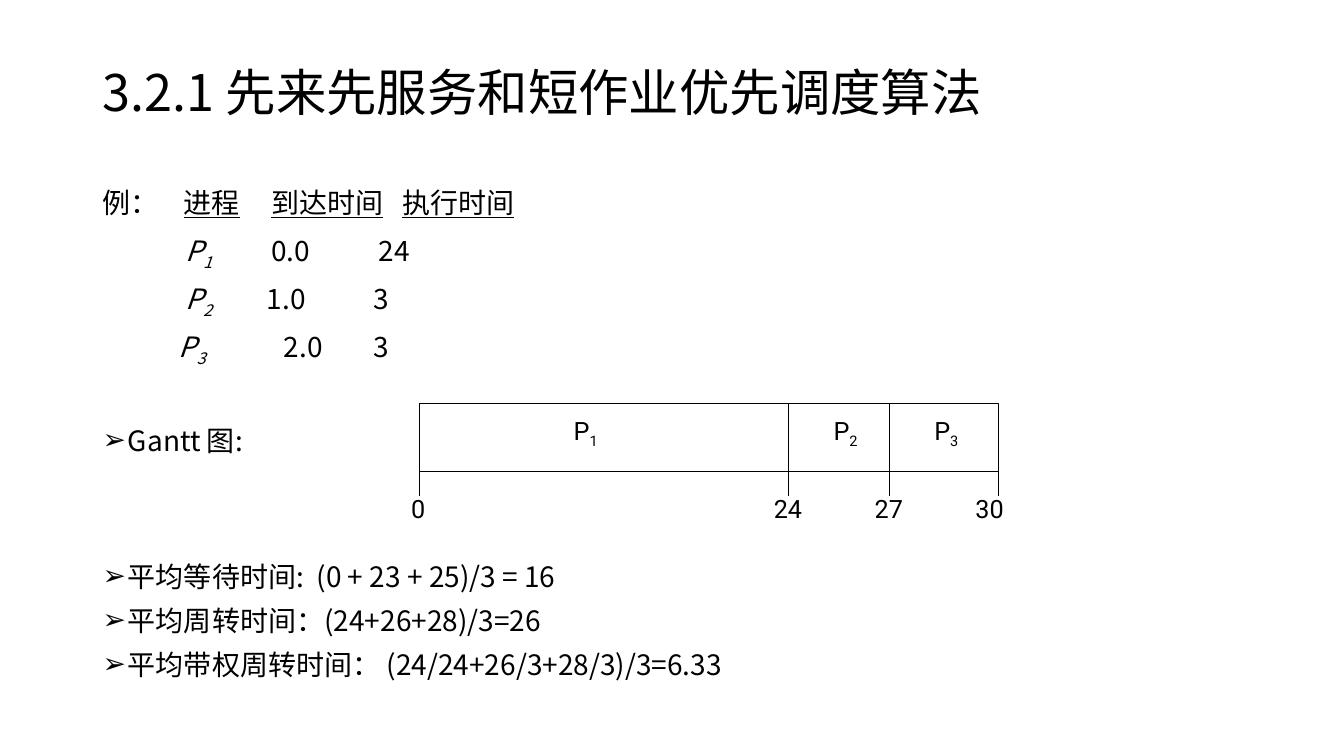
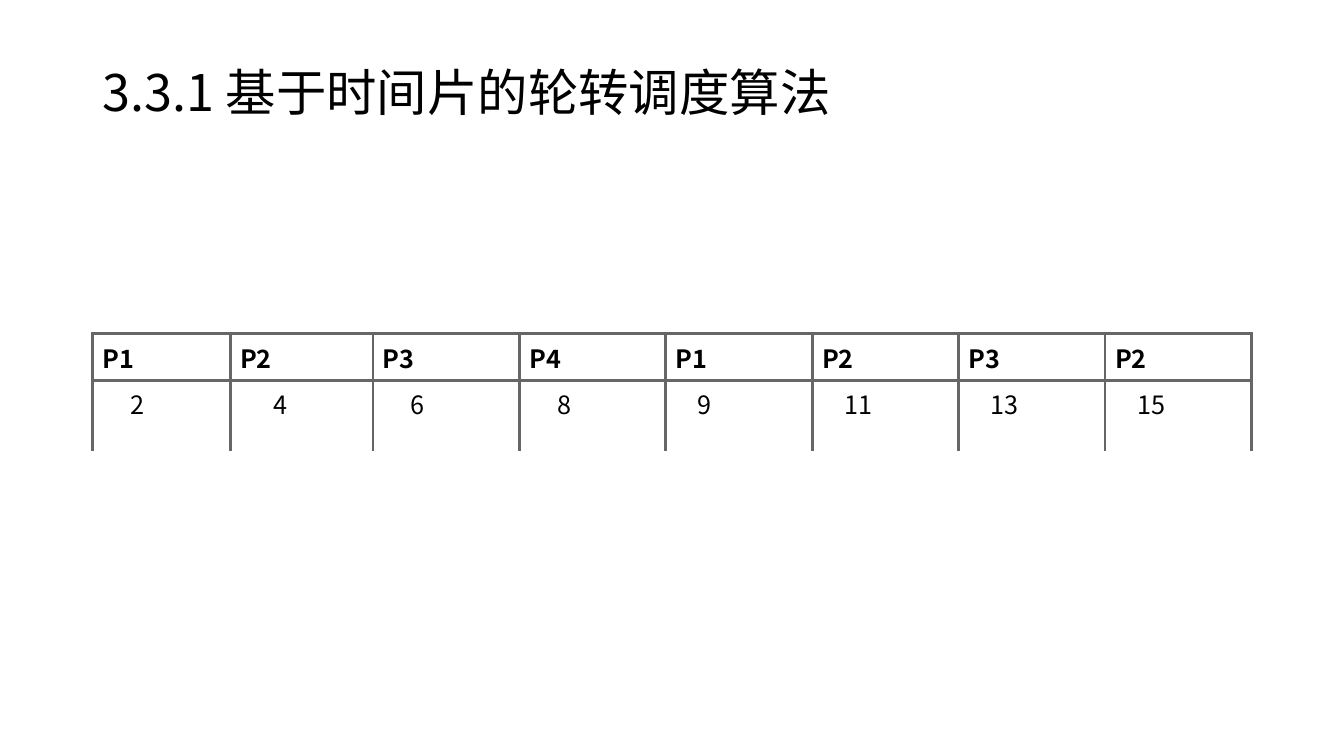
from lxml.etree import SubElement
from pptx import Presentation
from pptx.dml.color import RGBColor
from pptx.enum.shapes import MSO_CONNECTOR, MSO_SHAPE
from pptx.enum.text import MSO_ANCHOR, MSO_AUTO_SIZE, PP_ALIGN
from pptx.oxml import parse_xml
from pptx.oxml.ns import nsdecls, qn
from pptx.util import Cm, Pt

BLACK = RGBColor(0x00, 0x00, 0x00)
GREY = RGBColor(0x66, 0x66, 0x66)
SANS = "Noto Sans CJK SC"
LATIN = "Roboto"
LEFT, WIDTH = 2.33, 29.21
SPACE = 4.48

HEAD = [("例：", ""), 17.9, ("进程", "u"), 22.4, ("到达时间", "u"),
        13.4, ("执行时间", "u")]
JOBS = [
    ("1", "0.0", "24", 2.09, 42, 49, 13),
    ("2", "1.0", "3", 2.09, 39, 48, 12.6),
    ("3", "2.0", "3", 1.92, 56, 36, 12.6),
]
POINTS = [
    ([("Gantt 图:", "")], 47.2),
    ([("平均等待时间:", ""), 9, ("(0 + 23 + 25)/3 = 16", "")], 77.8),
    ([("平均周转时间：(24+26+28)/3=26", "")], 12.2),
    ([("平均带权周转时间： (24/24+26/3+28/3)/3=6.33", "")], 12.2),
]
TICKS = [("0", 10.57, 10.54), ("24", 19.88, 19.86),
         ("27", 22.42, 22.4), ("30", 25.17, 24.94)]
PARTS = [("1", 14.76), ("2", 21.31), ("3", 23.85)]
TURNS = [("P1", "2", 5), ("P2", "4", 6), ("P3", "6", 5), ("P4", "8", 5),
         ("P1", "9", 4), ("P2", "11", 4), ("P3", "13", 4), ("P2", "15", 4)]


def add_run(para, text, size, face=SANS, marks=""):
    """Add a run; marks are b bold, i italic, u underlined, s subscript."""
    run = para.add_run()
    run.text = text
    font = run.font
    font.size, font.name = Pt(size), face
    font.color.rgb = BLACK
    font.bold, font.italic, font.underline = (m in marks for m in "biu")
    props = run._r.get_or_add_rPr()
    SubElement(props, qn("a:ea")).set("typeface", face)
    if "s" in marks:
        props.set("baseline", "-25000")
    return props


def add_items(para, items):
    """Write runs, with a number standing for a gap of that many points."""
    for item in items:
        if isinstance(item, tuple):
            add_run(para, item[0], 20, marks=item[1])
        else:
            props = add_run(para, " ", 20)
            props.set("spc", str(round((item - SPACE) * 100)))


def place(shape, top, height):
    """Put a placeholder on the shared column and return its text frame."""
    shape.left, shape.top = Cm(LEFT), Cm(top)
    shape.width, shape.height = Cm(WIDTH), Cm(height)
    frame = shape.text_frame
    frame.auto_size = MSO_AUTO_SIZE.NONE
    return frame


def add_slide(deck, layout, title):
    """Add a slide with the shared title style."""
    slide = deck.slides.add_slide(deck.slide_layouts[layout])
    frame = place(slide.shapes.title, 1.02, 2.76)
    frame.vertical_anchor = MSO_ANCHOR.MIDDLE
    para = frame.paragraphs[0]
    para.alignment, para.line_spacing = PP_ALIGN.LEFT, 0.9
    add_run(para, title, 36)
    return slide


def set_para(para, before, inset=0, bullet=None):
    """Set the spacing, indent and bullet of a body paragraph."""
    para.line_spacing, para.space_before = 0.8, Pt(before)
    props = para._p.get_or_add_pPr()
    props.set("marL", str(Cm(inset)))
    props.set("indent", str(Cm(-inset if bullet else 0)))
    if bullet:
        SubElement(props, qn("a:buChar")).set("char", bullet)
    else:
        SubElement(props, qn("a:buNone"))


def fill_body(shape):
    """Write the process list and the results."""
    frame = place(shape, 4.7, 12.52)
    para = frame.paragraphs[0]
    set_para(para, 0)
    add_items(para, HEAD)
    for num, start, span, inset, gap, skip, before in JOBS:
        para = frame.add_paragraph()
        set_para(para, before, inset)
        add_items(para, [("P", "i"), (num, "is"), gap, (start, ""), skip, (span, "")])
    for items, before in POINTS:
        para = frame.add_paragraph()
        set_para(para, before, 0.64, "➢")
        add_items(para, items)


def add_line(shapes, x, top, end):
    """Draw a thin upright line."""
    line = shapes.add_connector(MSO_CONNECTOR.STRAIGHT, Cm(x), Cm(top), Cm(x), Cm(end))
    line.line.color.rgb, line.line.width = BLACK, Pt(0.75)
    SubElement(line._element.spPr, qn("a:effectLst"))


def add_label(shapes, mid, top, text, sub=""):
    """Add a label centred on mid, with an optional subscript."""
    wide = 1.22
    frame = shapes.add_textbox(Cm(mid - wide / 2), Cm(top), Cm(wide), Cm(1.02)).text_frame
    frame.word_wrap = False
    frame.vertical_anchor = MSO_ANCHOR.MIDDLE
    para = frame.paragraphs[0]
    para.alignment = PP_ALIGN.CENTER
    add_run(para, text, 18, LATIN)
    if sub:
        add_run(para, sub, 18, LATIN, "s")


def add_gantt(slide):
    """Draw the Gantt bar with its parts and ticks."""
    shapes = slide.shapes.add_group_shape().shapes
    top, base, end = 10.18, 11.88, 12.5
    first, last = TICKS[0][1], TICKS[-1][1]
    bar = shapes.add_shape(MSO_SHAPE.RECTANGLE, Cm(first), Cm(top),
                           Cm(last - first), Cm(base - top))
    bar.shadow.inherit = False
    bar.fill.background()
    bar.line.color.rgb, bar.line.width = BLACK, Pt(0.75)
    for num, mid in PARTS:
        add_label(shapes, mid, 10.39, "P", num)
    for text, x, mid in TICKS:
        add_line(shapes, x, base, end)
        add_label(shapes, mid, 12.29, text)
    for _, x, _ in TICKS[1:-1]:
        add_line(shapes, x, top, base)


def set_cell(cell, text, marks, inset, sides):
    """Write a cell and draw borders on the given sides."""
    cell.fill.background()
    cell.margin_left = Cm(inset)
    add_run(cell.text_frame.paragraphs[0], text, 18, marks=marks)
    props = cell._tc.get_or_add_tcPr()
    for spot, side in enumerate("LRTB"):
        paint = (f'<a:solidFill><a:srgbClr val="{GREY}"/></a:solidFill>'
                 if side in sides else "<a:noFill/>")
        props.insert(spot, parse_xml(
            f'<a:ln{side} {nsdecls("a")} w="{Pt(2.25)}">{paint}</a:ln{side}>'))


def add_turns(slide):
    """Add the table of time slices."""
    highs = (1.16, 1.78)
    table = slide.shapes.add_table(2, len(TURNS), Cm(LEFT), Cm(8.41),
                                   Cm(WIDTH), Cm(sum(highs))).table
    table.first_row = table.horz_banding = False
    for row, high in zip(table.rows, highs):
        row.height = Cm(high)
    wides = [3.47, 3.6] + [3.69] * 6
    for col, (wide, (name, time, step)) in enumerate(zip(wides, TURNS)):
        table.columns[col].width = Cm(wide)
        set_cell(table.cell(0, col), name, "b", 0.25, "LRTB")
        set_cell(table.cell(1, col), time, "", 0.25 + 0.14 * step, "LRT")


def main():
    """Build and save the deck."""
    deck = Presentation()
    deck.slide_width, deck.slide_height = Cm(33.87), Cm(19.05)
    first = add_slide(deck, 1, "3.2.1 先来先服务和短作业优先调度算法")
    fill_body(first.placeholders[1])
    add_gantt(first)
    add_turns(add_slide(deck, 5, "3.3.1 基于时间片的轮转调度算法"))
    deck.save("out.pptx")


if __name__ == "__main__":
    main()
